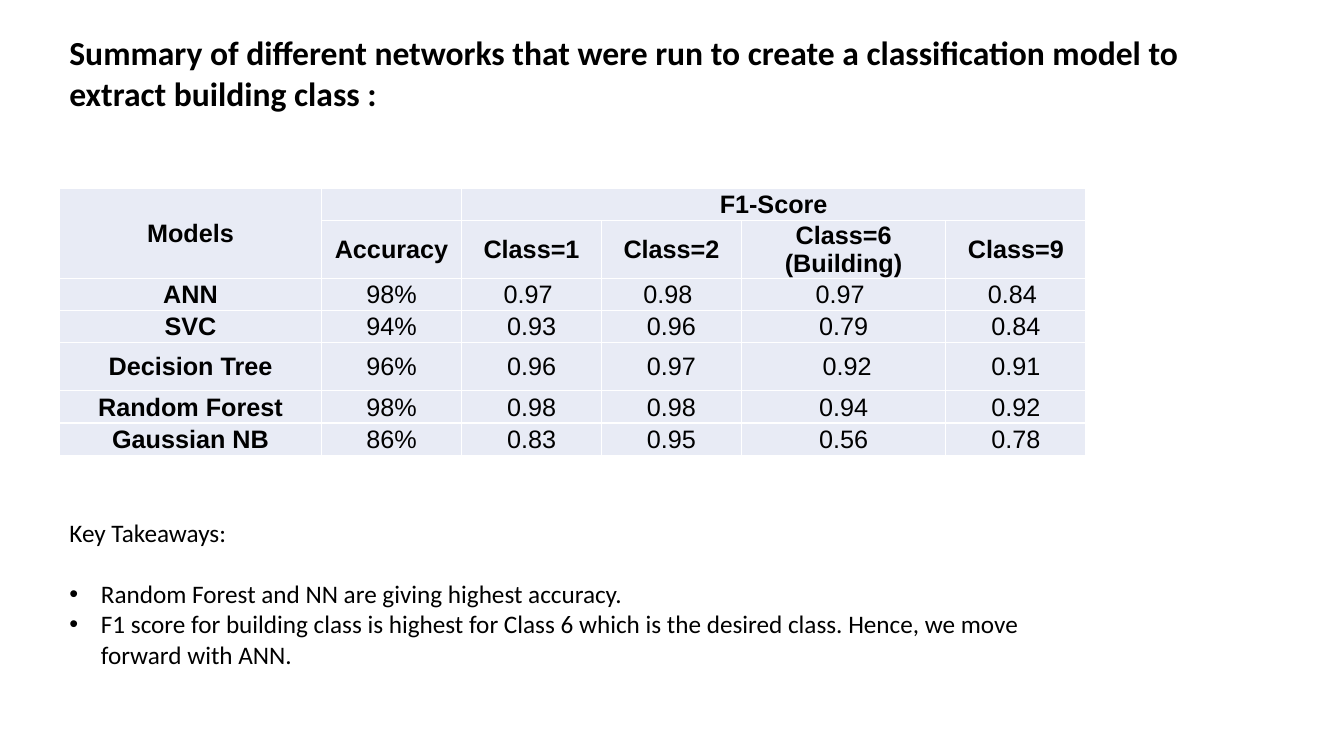
from pptx import Presentation
from pptx.dml.color import RGBColor
from pptx.enum.text import MSO_ANCHOR as Anchor, PP_ALIGN as Align
from pptx.oxml.ns import qn
from pptx.util import Pt
from lxml.etree import SubElement as Sub

BLACK, WHITE, PALE = "000000", "FFFFFF", "E8EBF5"
TITLE = ("Summary of different networks that were run to create "
         "a classification model to extract building class :")
NOTES = ["Random Forest and NN are giving highest accuracy.",
         "F1 score for building class is highest for Class 6 which is "
         "the desired class. Hence, we move forward with ANN."]
ROWS = [
    ["Models", "", "F1-Score", "", "", ""],
    ["", "Accuracy", "Class=1", "Class=2", "Class=6 (Building)", "Class=9"],
    ["ANN", "98%", "0.97 ", "0.98 ", "0.97 ", "0.84 "],
    ["SVC", "94%", "0.93", "0.96", "0.79", "0.84"],
    ["Decision Tree", "96%", "0.96", "0.97", " 0.92", "0.91"],
    ["Random Forest", "98%", "0.98", "0.98", "0.94", "0.92"],
    ["Gaussian NB", "86%", "0.83", "0.95", "0.56", "0.78"],
]
WIDTHS = [187.2, 100, 100, 100, 146, 100]
HEIGHTS = [23, 36, 23, 23, 34.5, 23, 23]


def color(code):
    return RGBColor.from_string(code)


def style(para, face, size, bold=False):
    font = para.font
    font.name, font.size, font.bold = face, Pt(size), bold
    font.color.rgb = color(BLACK)


def frame(slide, box):
    text = slide.shapes.add_textbox(*map(Pt, box)).text_frame
    text.word_wrap = True
    return text


def title(slide, box):
    para = frame(slide, box).paragraphs[0]
    para.text = TITLE
    style(para, "Calibri", 24, True)


def bullet(para):
    props = para._p.get_or_add_pPr()
    props.set("marL", str(Pt(22.5)))
    props.set("indent", str(-Pt(22.5)))
    Sub(props, qn("a:buFont"), typeface="Arial")
    Sub(props, qn("a:buChar"), char="•")


def notes(slide, box):
    text = frame(slide, box)
    head = text.paragraphs[0]
    head.text = "Key Takeaways:"
    style(head, "Calibri", 18)
    for i, note in enumerate(NOTES):
        para = text.add_paragraph()
        para.text = note
        para.space_before = Pt(0 if i else 22)
        bullet(para)
        style(para, "Calibri", 18)


def border(cell):
    props = cell._tc.get_or_add_tcPr()
    for side in "LRTB":
        line = Sub(props, qn(f"a:ln{side}"), w=str(Pt(1)))
        fill = Sub(line, qn("a:solidFill"))
        Sub(fill, qn("a:srgbClr"), val=WHITE)


def fill(cell, text, bold):
    border(cell)
    cell.fill.solid()
    cell.fill.fore_color.rgb = color(PALE)
    cell.vertical_anchor = Anchor.MIDDLE
    cell.margin_left = cell.margin_right = cell.margin_top = Pt(0.75)
    cell.margin_bottom = Pt(0)
    para = cell.text_frame.paragraphs[0]
    para.text = text
    para.alignment = Align.CENTER
    style(para, "Arial", 18, bold)


def scores(slide, left, top):
    box = map(Pt, (left, top, sum(WIDTHS), sum(HEIGHTS)))
    table = slide.shapes.add_table(len(ROWS), len(WIDTHS), *box).table
    table.first_row = table.horz_banding = False
    for col, width in zip(table.columns, WIDTHS):
        col.width = Pt(width)
    for row, high in zip(table.rows, HEIGHTS):
        row.height = Pt(high)
    for r, row in enumerate(ROWS):
        for c, text in enumerate(row):
            fill(table.cell(r, c), text, r < 2 or c == 0)
    table.cell(0, 0).merge(table.cell(1, 0))
    table.cell(0, 2).merge(table.cell(0, 5))


def main():
    deck = Presentation()
    deck.slide_width, deck.slide_height = Pt(960), Pt(540)
    slide = deck.slides.add_slide(deck.slide_layouts[6])
    scores(slide, 42.5, 134.6)
    notes(slide, (42.5, 366, 743, 116.6))
    title(slide, (42.5, 19.5, 880, 65.5))
    deck.save("out.pptx")


if __name__ == "__main__":
    main()
